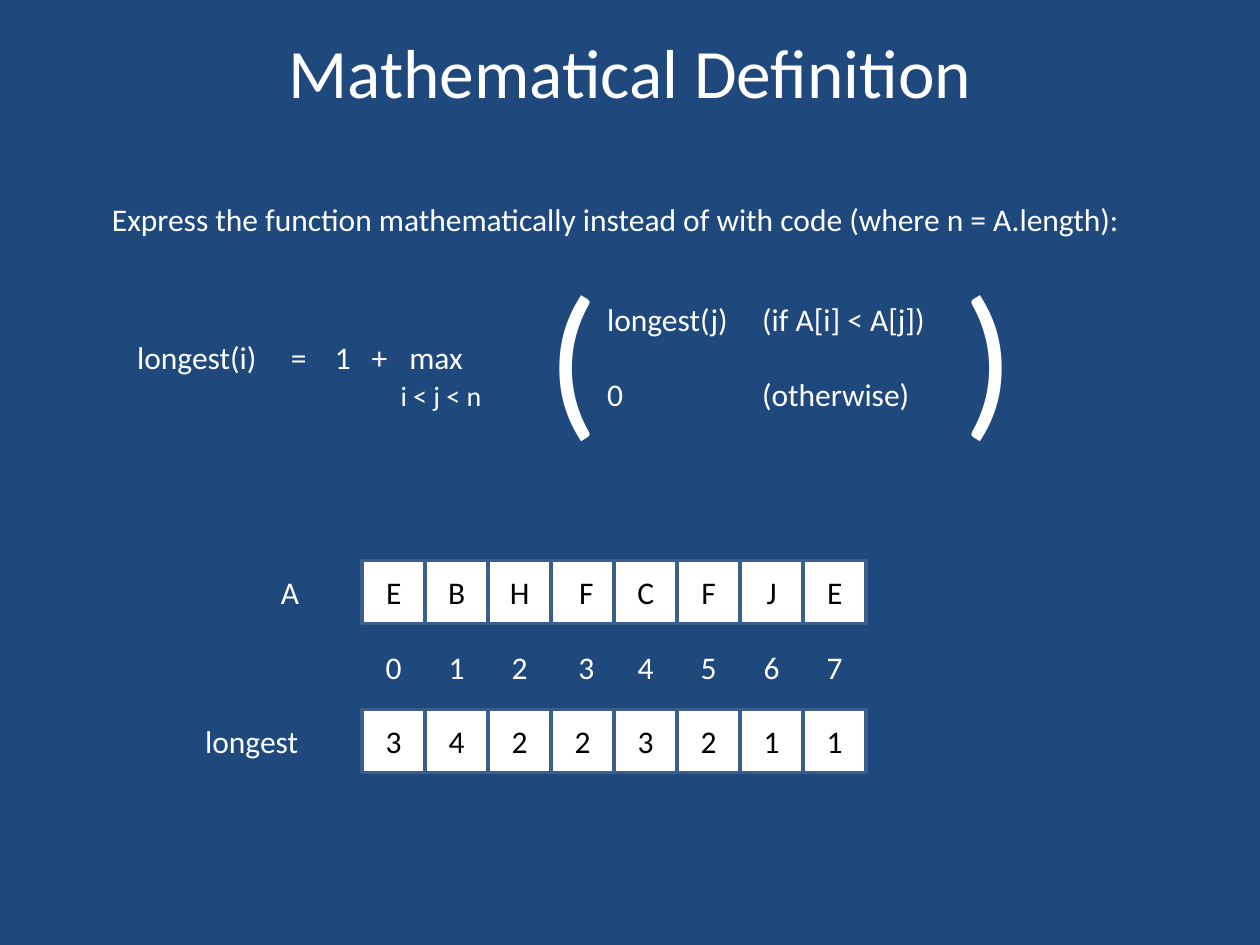
from dataclasses import dataclass

from lxml import etree
from pptx import Presentation
from pptx.dml.color import RGBColor
from pptx.enum.shapes import MSO_SHAPE
from pptx.enum.text import MSO_ANCHOR, PP_ALIGN
from pptx.oxml.ns import qn
from pptx.util import Inches, Pt

RECT = MSO_SHAPE.RECTANGLE
LEFT, CENTER = PP_ALIGN.LEFT, PP_ALIGN.CENTER
TOP, MIDDLE = MSO_ANCHOR.TOP, MSO_ANCHOR.MIDDLE
UNIT = 0.5


@dataclass(frozen=True)
class Theme:
    font: str = "Calibri"
    background: RGBColor = RGBColor(0x1F, 0x49, 0x7D)
    light: RGBColor = RGBColor(0xFF, 0xFF, 0xFF)
    dark: RGBColor = RGBColor(0, 0, 0)
    border: RGBColor = RGBColor(0x3A, 0x5F, 0x8C)
    border_width: float = 2
    title: float = 39.6
    body: float = 18
    small: float = 16
    bracket: float = 96


def grid(value):
    return Inches(value * UNIT)


class Deck:
    def __init__(self, theme):
        self.theme = theme
        self.prs = Presentation()
        self.prs.slide_width, self.prs.slide_height = grid(20), grid(15)
        self.s = self.prs.slides.add_slide(self.prs.slide_layouts[6])
        fill = self.s.background.fill
        fill.solid()
        fill.fore_color.rgb = theme.background

    def style(self, r, size, color):
        r.font.name = self.theme.font
        r.font.size = Pt(size)
        r.font.color.rgb = color

    def set_text(self, sp, text, size, color, align, anchor):
        tf = sp.text_frame
        tf.text = text
        tf.vertical_anchor = anchor
        p = tf.paragraphs[0]
        p.alignment = align
        self.style(p.runs[0], size, color)

    def text(self, text, box, size=None, align=LEFT, anchor=TOP, wrap=False):
        sp = self.s.shapes.add_textbox(*map(grid, box))
        sp.text_frame.word_wrap = wrap
        self.set_text(sp, text, size or self.theme.body, self.theme.light, align, anchor)

    def cell(self, text, box):
        sp = self.s.shapes.add_shape(RECT, *map(grid, box))
        sp.shadow.inherit = False
        sp.fill.solid()
        sp.fill.fore_color.rgb = self.theme.light
        sp.line.color.rgb = self.theme.border
        sp.line.width = Pt(self.theme.border_width)
        self.set_text(sp, text, self.theme.body, self.theme.dark, CENTER, MIDDLE)

    def tabbed(self, lines, box):
        tf = self.s.shapes.add_textbox(*map(grid, box)).text_frame
        tf.word_wrap = True
        for i, (stops, parts) in enumerate(lines):
            p = tf.paragraphs[0] if i == 0 else tf.add_paragraph()
            tabs = etree.SubElement(p._p.get_or_add_pPr(), qn("a:tabLst"))
            for stop in stops:
                etree.SubElement(tabs, qn("a:tab"), pos=str(grid(stop)), algn="l")
            for text, size in parts:
                r = p.add_run()
                r.text = text
                self.style(r, size, self.theme.light)


theme = Theme()
deck = Deck(theme)

deck.text("Mathematical Definition", (1, 0.34, 18, 1.56), theme.title, CENTER, MIDDLE, True)
deck.text("Express the function mathematically instead of with code (where n = A.length):",
          (1.58, 3.08, 16.44, 0.8))

CASE, CONDITION = 7.46, 9.92
deck.tabbed([
    ((CASE, CONDITION), [("\tlongest(j)\t(if A[i] < A[j])", theme.body)]),
    ((2.44, 3.14, 3.72, 4.32), [("longest(i)\t=\t1\t+\tmax", theme.body)]),
    ((4.18, CASE, CONDITION), [("\ti < j < n", theme.small),
                               ("\t0\t(otherwise)", theme.body)]),
], (1.98, 4.66, 16.04, 2.02))
for bracket, left in (("(", 8.5), (")", 15.1)):
    deck.text(bracket, (left, 3.88, 1.22, 3.44), theme.bracket)

ARRAY_LEFT, ARRAY_TOP, ROW_STEP = 5.75, 8.9, 1.18
columns = zip(("E", "B", "H", " F", "C", "F", "J", "E"),
              ("0", "1", "2", " 3", "4", "5", "6", "7"),
              "34223211")
for col, (letter, index, length) in enumerate(columns):
    boxes = [(ARRAY_LEFT + col, ARRAY_TOP + row * ROW_STEP, 1, 1) for row in range(3)]
    deck.cell(letter, boxes[0])
    deck.text(index, boxes[1], align=CENTER, anchor=MIDDLE, wrap=True)
    deck.cell(length, boxes[2])

LABEL_RIGHT = 4.96
for label, row, width in (("A", 0, 0.7), ("longest", 2, 1.9)):
    deck.text(label, (LABEL_RIGHT - width, ARRAY_TOP + 0.1 + row * ROW_STEP, width, 0.8))

deck.prs.save("out.pptx")
